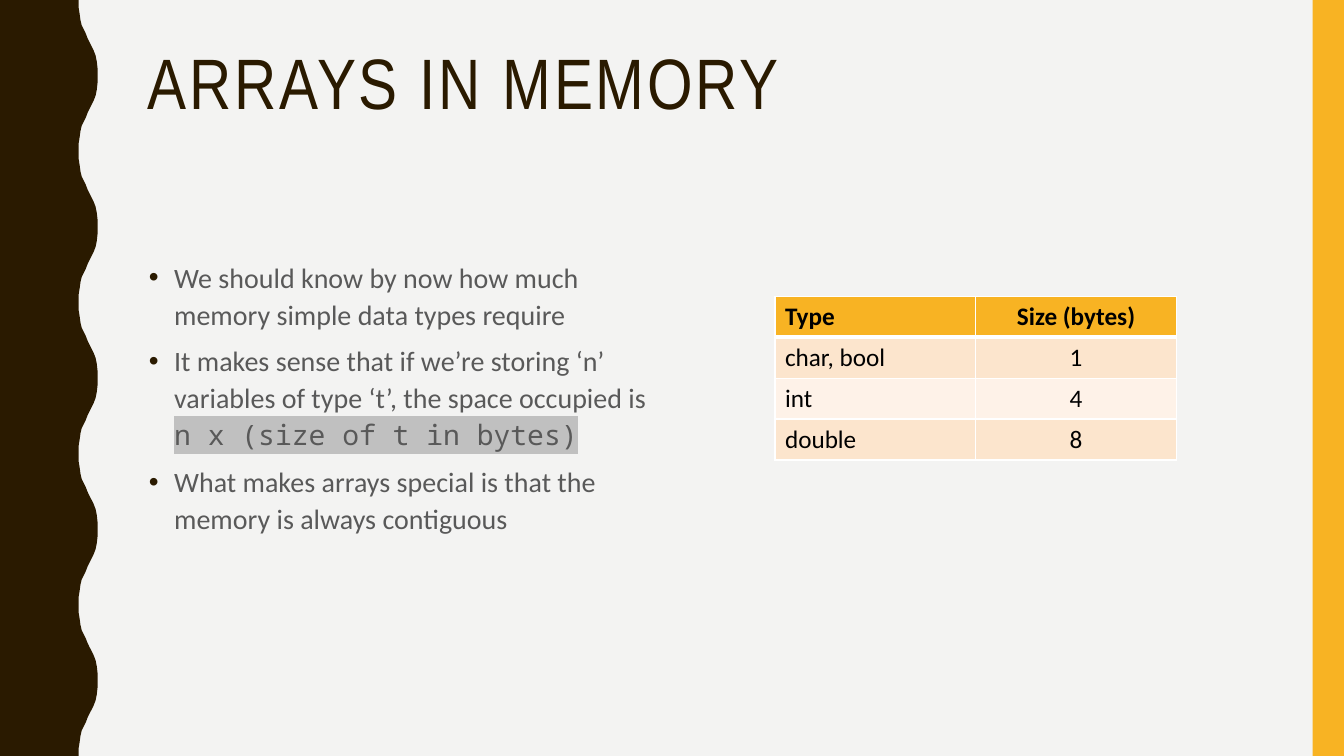
from pptx import Presentation
from pptx.dml.color import RGBColor
from pptx.enum import shapes, text
from pptx.oxml import parse_xml
from pptx.oxml.ns import nsdecls
from pptx.util import Cm, Pt

TITLE = "ARRAYS IN MEMORY"
# Each bullet is a list of (words, is code)
BULLETS = [
    [("We should know by now how much memory simple data types require", False)],
    [("It makes sense that if we’re storing ‘n’ variables of type ‘t’, "
      "the space occupied is ", False),
     ("n x (size of t in bytes)", True)],
    [("What makes arrays special is that the memory is always contiguous", False)],
]
ROWS = [("Type", "Size (bytes)"), ("char, bool", "1"), ("int", "4"), ("double", "8")]

THEME = {
    "back": "F3F3F2", "dark": "2A1A00", "gold": "F8B323", "body": "595959",
    "code": "C0C0C0", "black": "000000", "white": "FFFFFF",
    "bands": ("FEF2E8", "FCE5CD"),
    "head": "Arial Narrow", "sans": "Calibri", "mono": "Noto Sans Mono",
    "title size": 51, "body size": 20, "cell size": 18,
}

WIDE, HIGH = 33.87, 19.05
BAR = 0.79
TITLE_BOX = (3.48, 1.07, 28.27, 4.14)
BODY_BOX = (3.5, 6.35, 13.34, 10.06)
GRID = (19.53, 7.47, 10.12, 4.12)

# Wave edge in cm, from trough to crest
PERIOD = 3.81
WAVES = 5
RISE = [(1.98, 0), (1.98, 0.18), (2.01, 0.36), (2.03, 0.51), (2.06, 0.64),
        (2.11, 0.74), (2.16, 0.84), (2.21, 0.97), (2.26, 1.07), (2.31, 1.17),
        (2.36, 1.27), (2.41, 1.4), (2.44, 1.55), (2.46, 1.73), (2.46, 1.9)]


def rgb(name):
    return RGBColor.from_string(THEME.get(name, name))


def xml(body):
    """Parse one drawing element, adding the namespace to its first tag."""
    tag, rest = body.split(" ", 1)
    return parse_xml(f"{tag} {nsdecls('a')} {rest}")


def paint(shape, color):
    shape.shadow.inherit = False
    shape.fill.solid()
    shape.fill.fore_color.rgb = rgb(color)
    shape.line.fill.background()


def write(para, words, face, size, color, bold=False, mark=None):
    run = para.add_run()
    run.text = words
    font = run.font
    font.size, font.bold = Pt(THEME[size]), bold
    font.color.rgb = rgb(color)
    if mark:
        run._r.get_or_add_rPr().append(xml(
            f'<a:highlight ><a:srgbClr val="{THEME[mark]}"/></a:highlight>'))
    font.name = THEME[face]
    return run


def frame(slide, box):
    area = slide.shapes.add_textbox(*map(Cm, box)).text_frame
    area.word_wrap = True
    return area


def draw_wave(slide):
    fall = [(x, PERIOD - y) for x, y in reversed(RISE[1:-1])]
    edge = [(x, y + PERIOD * n) for n in range(WAVES) for x, y in RISE + fall]
    edge += [(RISE[0][0], HIGH), (0, HIGH)]
    form = slide.shapes.build_freeform(0, 0)
    form.add_line_segments([(Cm(x), Cm(y)) for x, y in edge], close=True)
    paint(form.convert_to_shape(), "dark")


def draw_bar(slide):
    paint(slide.shapes.add_shape(shapes.MSO_SHAPE.RECTANGLE, Cm(WIDE - BAR), 0,
                                 Cm(BAR), Cm(HIGH)), "gold")


def add_title(slide):
    para = frame(slide, TITLE_BOX).paragraphs[0]
    para.line_spacing = 0.9
    run = write(para, TITLE, "head", "title size", "dark")
    run._r.get_or_add_rPr().set("spc", "200")


def add_bullets(slide):
    area = frame(slide, BODY_BOX)
    for i, runs in enumerate(BULLETS):
        para = area.add_paragraph() if i else area.paragraphs[0]
        para.line_spacing, para.space_before = 1.1, Pt(7)
        prop = para._p.get_or_add_pPr()
        prop.set("marL", str(Cm(0.64)))
        prop.set("indent", str(-Cm(0.64)))
        prop.append(xml(f'<a:buClr ><a:srgbClr val="{THEME["dark"]}"/></a:buClr>'))
        prop.append(xml('<a:buFont typeface="Arial"/>'))
        prop.append(xml('<a:buChar char="•"/>'))
        for words, code in runs:
            write(para, words, "mono" if code else "sans", "body size", "body",
                  mark="code" if code else None)


def add_border(cell, side, width):
    cell._tc.get_or_add_tcPr().append(xml(
        f'<a:ln{side} w="{Pt(width)}"><a:solidFill>'
        f'<a:srgbClr val="{THEME["white"]}"/></a:solidFill></a:ln{side}>'))


def add_sizes(slide):
    """Add the table of data types and their sizes."""
    count, span = len(ROWS), len(ROWS[0])
    grid = slide.shapes.add_table(count, span, *map(Cm, GRID)).table
    for col in grid.columns:
        col.width = Cm(GRID[2] / span)
    for r, row in enumerate(ROWS):
        grid.rows[r].height = Cm(GRID[3] / count)
        for c, words in enumerate(row):
            cell = grid.cell(r, c)
            for side in "LRTB":
                thick = (r, side) in ((0, "B"), (1, "T"))
                add_border(cell, side, 3 if thick else 1)
            cell.fill.solid()
            cell.fill.fore_color.rgb = rgb(THEME["bands"][r % 2] if r else "gold")
            para = cell.text_frame.paragraphs[0]
            if c:
                para.alignment = text.PP_ALIGN.CENTER
            write(para, words, "sans", "cell size", "black", bold=r == 0)


def main():
    deck = Presentation()
    deck.slide_width, deck.slide_height = Cm(WIDE), Cm(HIGH)
    slide = deck.slides.add_slide(deck.slide_layouts[6])
    slide.background.fill.solid()
    slide.background.fill.fore_color.rgb = rgb("back")
    for step in (draw_wave, draw_bar, add_title, add_bullets, add_sizes):
        step(slide)
    deck.save("out.pptx")


if __name__ == "__main__":
    main()
